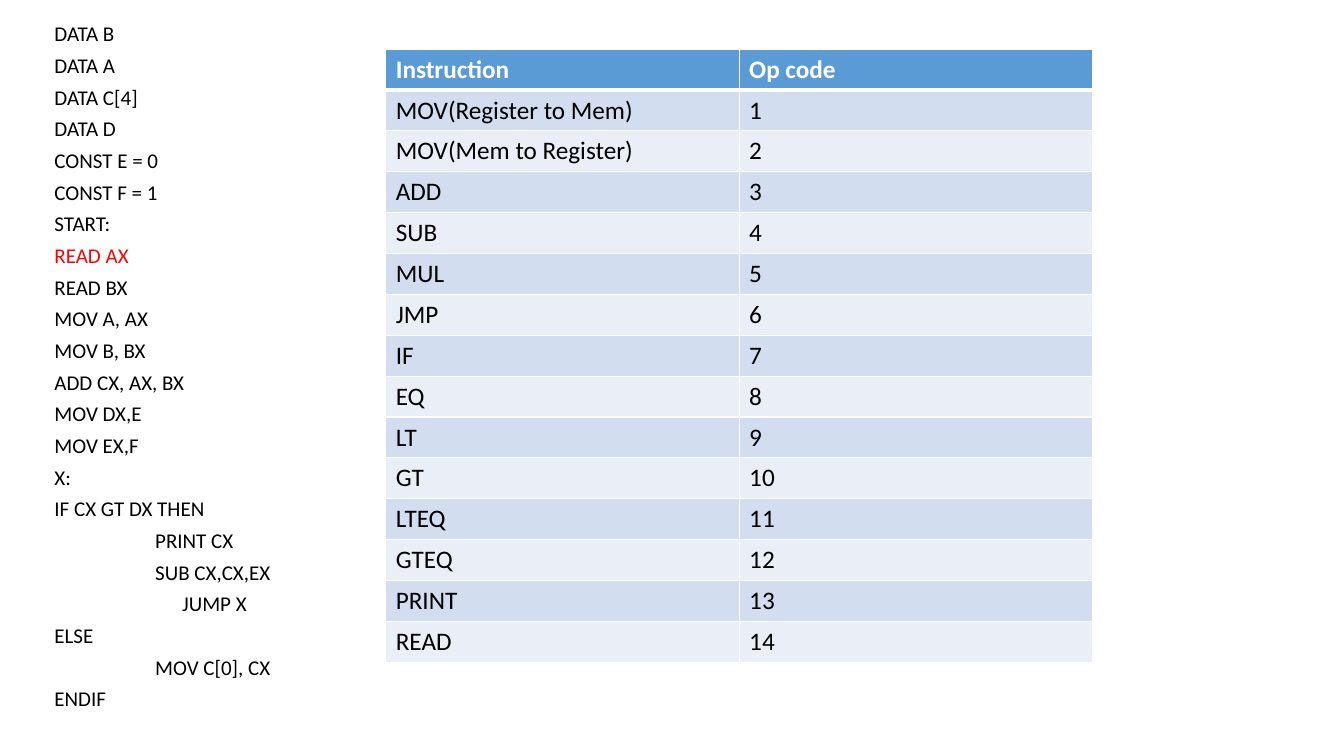
from lxml import etree
from pptx import Presentation
from pptx import util as u
from pptx.dml.color import RGBColor
from pptx.enum import text
from pptx.oxml import ns

BLACK = RGBColor(0, 0, 0)
WHITE = RGBColor(255, 255, 255)
RED = RGBColor(255, 0, 0)
BLUE = RGBColor(0x5B, 0x9B, 0xD5)
BANDS = [RGBColor(0xEA, 0xEF, 0xF7), RGBColor(0xD2, 0xDE, 0xEF)]


def write(par, words, size=18, color=BLACK, bold=False, indent=0):
    run = par.add_run()
    run.text = words
    run.font.name = "Calibri"
    run.font.size = u.Pt(size)
    run.font.bold = bold
    run.font.color.rgb = color
    par.alignment = text.PP_ALIGN.LEFT
    if indent:
        par._p.get_or_add_pPr().set("marL", str(int(indent)))


def edge(cell, side, width):
    line = etree.Element(ns.qn("a:" + side), w=str(u.Pt(width)))
    fill = etree.SubElement(line, ns.qn("a:solidFill"))
    etree.SubElement(fill, ns.qn("a:srgbClr"), val=str(WHITE))
    return line


deck = Presentation()
deck.slide_width = u.Inches(13.33)
deck.slide_height = u.Inches(7.5)
col = deck.slide_width / 100
row = deck.slide_height / 100
slide = deck.slides.add_slide(deck.slide_layouts[0])
title = slide.shapes.title._element
title.getparent().remove(title)

code = slide.placeholders[1]
code.left, code.top = int(3.3 * col), int(3 * row)
code.width, code.height = int(75 * col), int(97 * row)
frame = code.text_frame
frame.word_wrap = True
frame.auto_size = text.MSO_AUTO_SIZE.NONE
frame.vertical_anchor = text.MSO_ANCHOR.TOP

steps = ["DATA B", "DATA A", "DATA C[4]", "DATA D", "CONST E = 0", "CONST F = 1",
         "START:", "READ AX", "READ BX", "MOV A, AX", "MOV B, BX", "ADD CX, AX, BX",
         "MOV DX,E", "MOV EX,F", "X:", "IF CX GT DX THEN", "PRINT CX",
         "SUB CX,CX,EX", "JUMP X", "ELSE", "MOV C[0], CX", "ENDIF"]
shifts = {"PRINT CX": 7.5, "SUB CX,CX,EX": 7.5, "JUMP X": 9.5, "MOV C[0], CX": 7.5}
for i, step in enumerate(steps):
    par = frame.add_paragraph() if i else frame.paragraphs[0]
    par.line_spacing = 0.7
    par.space_before = u.Pt(10)
    write(par, step, size=15, color=RED if step == "READ AX" else BLACK,
          indent=shifts.get(step, 0) * col)

names = ["MOV(Register to Mem)", "MOV(Mem to Register)", "ADD", "SUB", "MUL", "JMP",
         "IF", "EQ", "LT", "GT", "LTEQ", "GTEQ", "PRINT", "READ"]
rows = [("Instruction", "Op code")] + [(name, str(n)) for n, name in enumerate(names, 1)]
grid = slide.shapes.add_table(len(rows), 2, int(28.7 * col), int(6.5 * row),
                              int(52.6 * col), int(5.4 * row * len(rows))).table
for r, pair in enumerate(rows):
    head = r == 0
    for c, words in enumerate(pair):
        cell = grid.cell(r, c)
        write(cell.text_frame.paragraphs[0], words,
              color=WHITE if head else BLACK, bold=head)
        cell.fill.solid()
        cell.fill.fore_color.rgb = BLUE if head else BANDS[r % 2]
        props = cell._tc.get_or_add_tcPr()
        for k, side in enumerate(["lnL", "lnR", "lnT", "lnB"]):
            thick = (head and side == "lnB") or (r == 1 and side == "lnT")
            props.insert(k, edge(cell, side, 3 if thick else 1))

deck.save("out.pptx")
